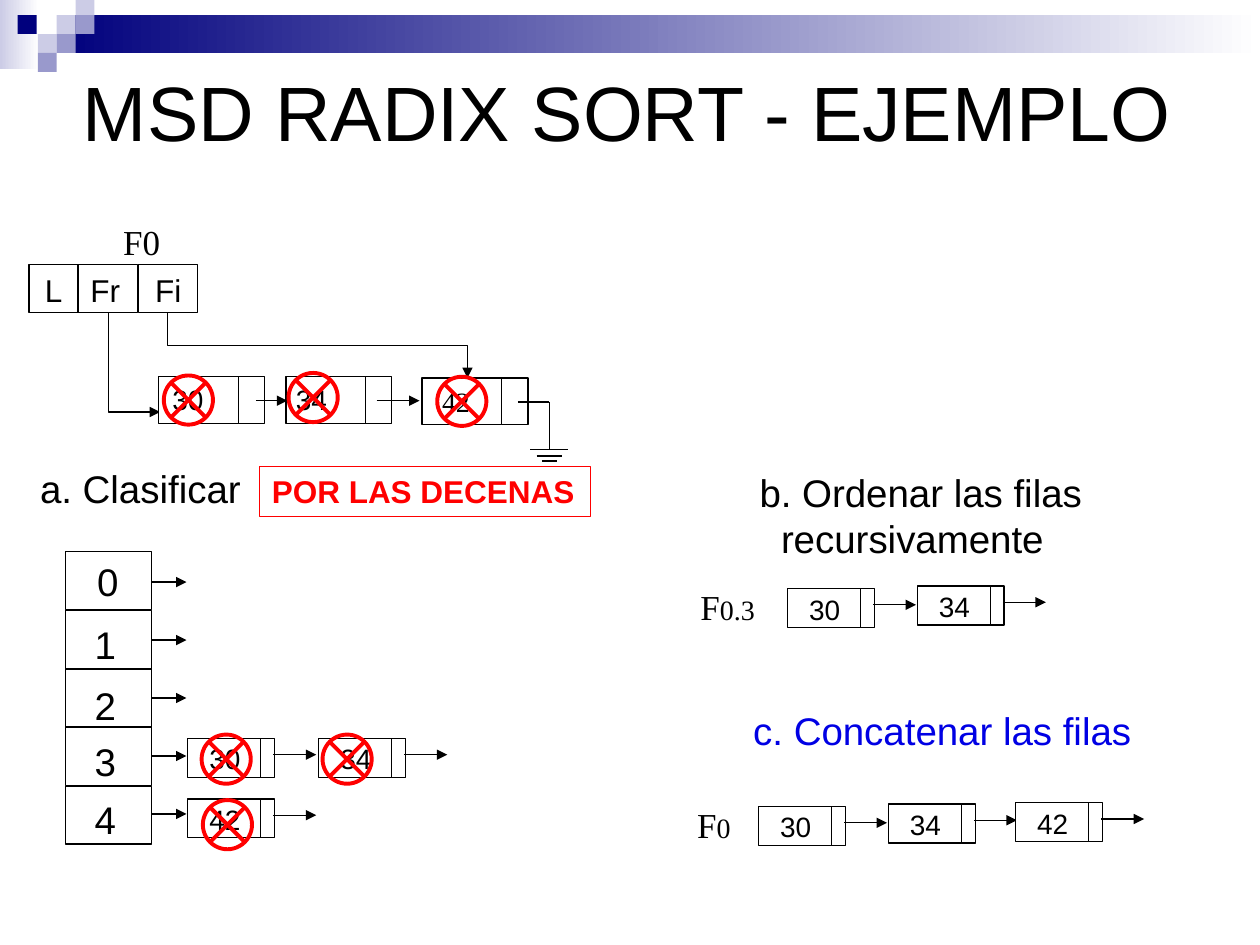
from lxml.etree import SubElement
from pptx import Presentation
from pptx.dml.color import RGBColor
from pptx.enum.shapes import MSO_CONNECTOR as Link, MSO_SHAPE as Shape
from pptx.enum.text import MSO_ANCHOR as Anchor, PP_ALIGN as Align
from pptx.oxml.ns import qn
from pptx.util import Inches, Pt

BLACK = RGBColor(0x00, 0x00, 0x00)
WHITE = RGBColor(0xFF, 0xFF, 0xFF)
RED = RGBColor(0xFF, 0x00, 0x00)
BLUE = RGBColor(0x00, 0x00, 0xE4)
NAVY = RGBColor(0x00, 0x00, 0x7D)
LILAC = RGBColor(0xCC, 0xCC, 0xE6)
VIOLET = RGBColor(0x99, 0x99, 0xCC)
SANS, SERIF = "Arial", "Times New Roman"
CENTER = Align.CENTER


class Page:
    def __init__(self, deck):
        self.shapes = deck.slides.add_slide(deck.slide_layouts[6]).shapes

    def block(self, left, top, width, height, fill=None, line=None, fade=False,
              weight=0.75, kind=Shape.RECTANGLE):
        shape = self.shapes.add_shape(
            kind, Inches(left), Inches(top), Inches(width), Inches(height))
        shape.shadow.inherit = False
        if fade:
            shape.fill.gradient()
            shape.fill.gradient_angle = 0
            for stop, color in zip(shape.fill.gradient_stops, (fill, WHITE)):
                stop.color.rgb = color
        elif fill is not None:
            shape.fill.solid()
            shape.fill.fore_color.rgb = fill
        else:
            shape.fill.background()
        if line is not None:
            shape.line.color.rgb = line
            shape.line.width = Pt(weight)
        else:
            shape.line.fill.background()
        return shape

    def cell(self, left, top, width, height):
        return self.block(left, top, width, height, WHITE, BLACK)

    def set_text(self, shape, text, size, font=SANS, color=BLACK, align=Align.LEFT,
                 bold=False, wrap=True, anchor=Anchor.TOP):
        frame = shape.text_frame
        frame.text = text
        frame.word_wrap = wrap
        frame.vertical_anchor = anchor
        for para in frame.paragraphs:
            para.alignment = align
            for span in para.runs:
                span.font.name = font
                span.font.size = Pt(size)
                span.font.bold = bold
                span.font.color.rgb = color
        return frame

    def label(self, left, top, width, height, text, size, **style):
        box = self.shapes.add_textbox(
            Inches(left), Inches(top), Inches(width), Inches(height))
        return self.set_text(box, text, size, **style)

    def queue_name(self, left, top, width, suffix):
        frame = self.label(left, top, width, 0.57, "F", 20, font=SERIF, align=CENTER)
        span = frame.paragraphs[0].add_run()
        span.text = suffix
        span.font.name = SERIF
        span.font.size = Pt(16)
        span.font.color.rgb = BLACK

    def line(self, x1, y1, x2, y2, arrow=False, weight=0.75, kind=Link.STRAIGHT):
        link = self.shapes.add_connector(
            kind, Inches(x1), Inches(y1), Inches(x2), Inches(y2))
        link.line.color.rgb = BLACK
        link.line.width = Pt(weight)
        if arrow:
            SubElement(link.get_or_add_ln(), qn("a:tailEnd"), type="triangle")
        SubElement(link.element.spPr, qn("a:effectLst"))
        return link

    def elbow(self, x1, y1, x2, y2, preset):
        middle_x, middle_y = (x1 + x2) / 2, (y1 + y2) / 2
        half_width, half_height = (y2 - y1) / 2, (x2 - x1) / 2
        link = self.line(middle_x + half_width, middle_y - half_height,
                         middle_x - half_width, middle_y + half_height,
                         arrow=True, kind=Link.ELBOW)
        properties = link.element.spPr
        properties.find(qn("a:xfrm")).set("rot", str(270 * 60000))
        properties.find(qn("a:prstGeom")).set("prst", preset)

    def node(self, left, top, text):
        self.cell(left, top, 0.58, 0.31)
        self.cell(left + 0.58, top, 0.11, 0.31)
        self.line(left + 0.68, top + 0.13, left + 1.02, top + 0.13, arrow=True)
        self.label(left - 0.09, top - 0.02, 0.77, 0.43, text, 16, align=CENTER)

    def large_node(self, left, top):
        self.cell(left, top, 0.64, 0.37)
        self.cell(left + 0.63, top, 0.21, 0.37)

    def cross_out(self, left, top):
        self.block(left, top, 0.39, 0.39, line=RED, weight=2.25,
                   kind=Shape.FLOWCHART_SUMMING_JUNCTION)


def draw_banner(page):
    page.block(0, 0, 0.31, 0.55, LILAC, fade=True)
    page.block(0.45, 0.12, 9.55, 0.3, NAVY, fade=True)
    page.block(0.6, 0, 0.15, 0.12, LILAC)
    for left, top, color in ((0.45, 0.12, LILAC), (0.6, 0.12, VIOLET),
                             (0.3, 0.27, LILAC), (0.14, 0.12, NAVY),
                             (0.45, 0.27, VIOLET), (0.3, 0.42, VIOLET)):
        page.block(left, top, 0.15, 0.15, color)
    page.label(0.56, 0.13, 9, 1.5, "MSD RADIX SORT - EJEMPLO", 44, anchor=Anchor.MIDDLE)


def draw_first_queue(page):
    page.label(0.86, 1.7, 0.53, 0.57, "F0", 20, font=SERIF, align=CENTER)
    page.cell(0.62, 2.1, 0.47, 0.38)
    page.elbow(0.86, 2.48, 1.27, 3.27, "bentConnector2")
    page.set_text(page.cell(1.1, 2.1, 0.47, 0.38), "Fi", 18, align=CENTER)
    page.elbow(1.33, 2.48, 3.71, 3, "bentConnector3")
    for left, top in ((1.26, 2.99), (2.27, 2.99), (3.35, 3)):
        page.large_node(left, top)
    page.line(2.03, 3.18, 2.28, 3.18, arrow=True)
    page.line(2.99, 3.18, 3.33, 3.18, arrow=True)
    page.label(1.27, 2.99, 0.54, 0.56, "30", 16)
    page.label(2.25, 2.99, 0.57, 0.56, "34", 16)
    page.label(3.41, 3, 0.59, 0.56, "42", 16, font=SERIF)
    page.line(4.11, 3.19, 4.36, 3.19)
    page.line(4.36, 3.19, 4.36, 3.56, weight=0.5)
    for half, top in ((0.15, 3.57), (0.1, 3.62), (0.06, 3.66)):
        page.line(4.36 - half, top, 4.36 + half, top)
    page.label(0.62, 2.1, 0.47, 0.4, "Fr", 18)
    page.set_text(page.cell(0.23, 2.1, 0.39, 0.38), "L", 18, align=CENTER)


def draw_buckets(page):
    page.label(0.22, 3.64, 1.8, 0.47, "a. Clasificar", 22, wrap=False)
    page.set_text(page.block(2.06, 3.7, 2.63, 0.4, line=RED), "POR LAS DECENAS", 18,
                  color=RED, bold=True, wrap=False)
    for index in range(5):
        page.cell(0.52, 4.38 + index * 0.465, 0.68, 0.46)
        arrow_top = 4.62 + index * 0.46
        page.line(1.2, arrow_top, 1.48, arrow_top, arrow=True)
    for index, top in enumerate((4.38, 4.88, 5.36, 5.81, 6.27)):
        page.label(0.57 if index == 0 else 0.55, top, 0.57, 0.39, str(index), 22,
                   align=CENTER)
    for left, top, text in ((1.49, 5.86, "30"), (2.53, 5.86, "34"), (1.49, 6.34, "42")):
        page.node(left, top, text)


def draw_results(page):
    frame = page.label(5.93, 3.67, 2.88, 0.84,
                       "b. Ordenar las filas\nrecursivamente", 22, wrap=False)
    indent = frame.paragraphs[1]._p.get_or_add_pPr()
    indent.set("marL", str(Inches(0.17)))
    page.queue_name(5.39, 4.6, 0.77, "0.3")
    page.node(6.25, 4.67, "30")
    page.node(7.28, 4.65, "34")
    page.label(5.88, 5.56, 3.24, 0.47, "c. Concatenar las filas", 22, color=BLUE,
               wrap=False)
    page.queue_name(5.4, 6.33, 0.53, "0")
    for left, top, text in ((6.02, 6.4, "30"), (7.05, 6.38, "34"), (8.06, 6.37, "42")):
        page.node(left, top, text)


def main():
    deck = Presentation()
    deck.slide_width, deck.slide_height = Inches(10), Inches(7.5)
    page = Page(deck)
    draw_banner(page)
    draw_first_queue(page)
    draw_buckets(page)
    draw_results(page)
    for left, top in ((1.3, 2.98), (2.29, 2.96), (3.47, 2.99),
                      (1.6, 5.83), (2.56, 5.83), (1.61, 6.35)):
        page.cross_out(left, top)
    deck.save("out.pptx")


if __name__ == "__main__":
    main()
